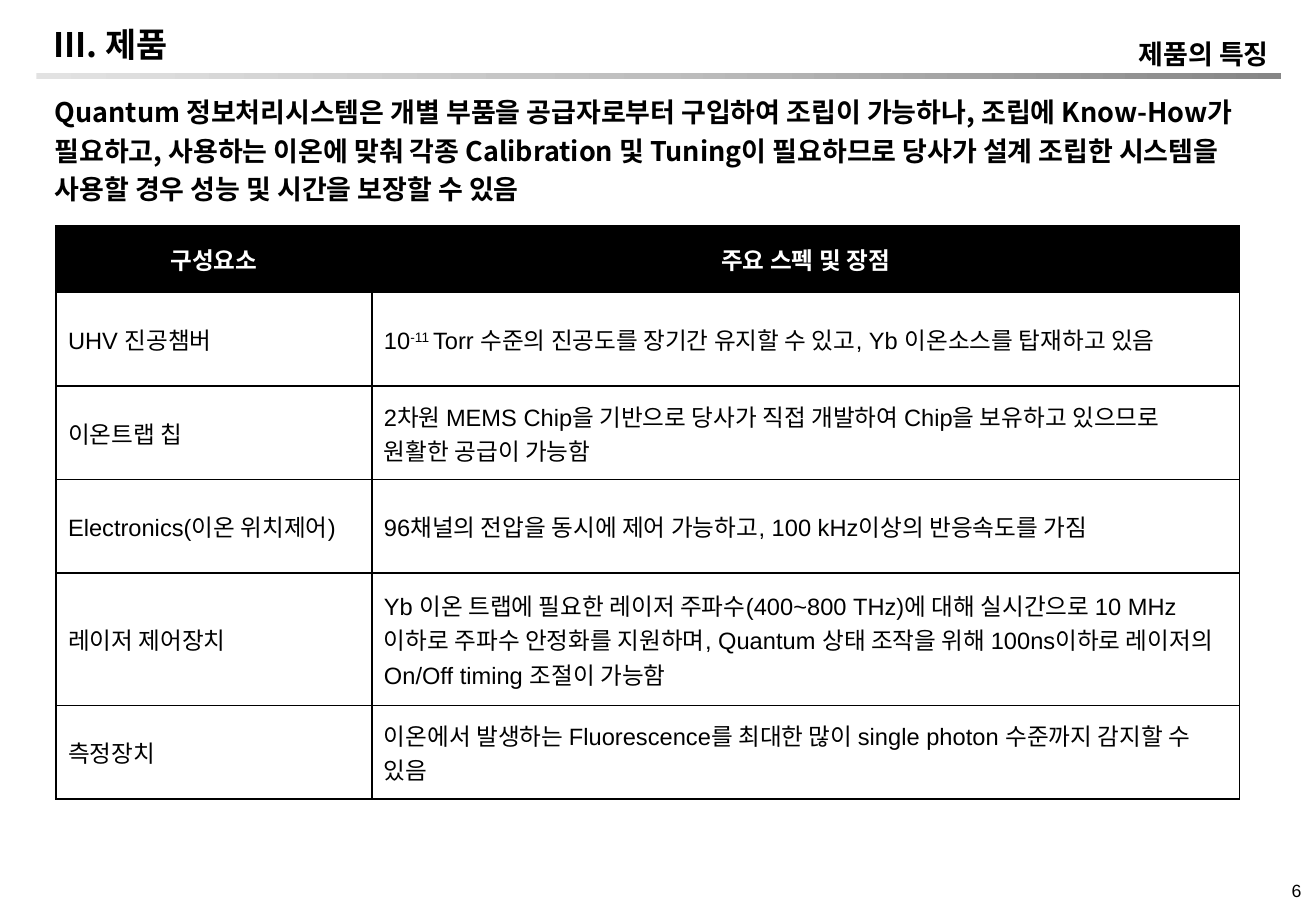
from copy import deepcopy
from dataclasses import dataclass, field
from typing import Any

from pptx import Presentation
from pptx.dml.color import RGBColor
from pptx.enum.shapes import MSO_SHAPE
from pptx.enum.text import MSO_ANCHOR, MSO_AUTO_SIZE, PP_ALIGN
from pptx.oxml import parse_xml
from pptx.oxml.ns import nsdecls, qn
from pptx.util import Pt

LEFT, MID, RIGHT = PP_ALIGN.LEFT, PP_ALIGN.CENTER, PP_ALIGN.RIGHT
TOP, CENTER, BOTTOM = MSO_ANCHOR.TOP, MSO_ANCHOR.MIDDLE, MSO_ANCHOR.BOTTOM
RECT, ROUND = MSO_SHAPE.RECTANGLE, MSO_SHAPE.ROUNDED_RECTANGLE
FIXED = MSO_AUTO_SIZE.NONE

SCALE = 9144
COLORS = {"black": "000000", "white": "FFFFFF",
          "light": "E2E2E2", "mid": "BEBEBE", "dark": "868686"}
HANGUL = "Noto Sans CJK KR"
LATIN = "Arial"


@dataclass
class Style:
    size: float
    bold: bool = False
    face: str = LATIN
    color: str = "black"
    align: Any = LEFT
    para: dict[str, Any] = field(default_factory=dict)


@dataclass
class Block:
    kind: str
    box: tuple[int, int, int, int]
    text: str
    style: Style
    anchor: Any = TOP
    inset: tuple[int, int, int, int] = (10, 5, 10, 5)


BLOCKS = [
    Block("title", (34, 17, 650, 39), "III. 제품", Style(20, True, HANGUL), CENTER),
    Block("text", (464, 23, 590, 37), "제품의 특징",
          Style(16, True, align=RIGHT, para={"line_spacing": 1.1})),
    Block("round", (30, 68, 1038, 107),
          "Quantum 정보처리시스템은 개별 부품을 공급자로부터 구입하여 조립이 가능하나, "
          "조립에 Know-How가 필요하고, 사용하는 이온에 맞춰 각종 Calibration 및 Tuning이 "
          "필요하므로 당사가 설계 조립한 시스템을 사용할 경우 성능 및 시간을 보장할 수 있음",
          Style(16, True, HANGUL, para={"line_spacing": Pt(23)}), inset=(10, 0, 8, 0)),
    Block("text", (1038, 707, 43, 40), "6", Style(10.5, align=RIGHT), BOTTOM),
]

HEAD = Style(14, True, color="white", align=MID)
BODY = Style(14)
COLS = (260, 714)
ROWS = [
    (55, "구성요소", "주요 스펙 및 장점"),
    (77, "UHV 진공챔버",
     "10^-11 ^Torr 수준의 진공도를 장기간 유지할 수 있고, Yb 이온소스를 탑재하고 있음"),
    (77, "이온트랩 칩",
     "2차원 MEMS Chip을 기반으로 당사가 직접 개발하여 Chip을 보유하고 있으므로 원활한 공급이 가능함"),
    (77, "Electronics(이온 위치제어)",
     "96채널의 전압을 동시에 제어 가능하고, 100 kHz이상의 반응속도를 가짐"),
    (109, "레이저 제어장치",
     "Yb 이온 트랩에 필요한 레이저 주파수(400~800 THz)에 대해 실시간으로 10 MHz 이하로 "
     "주파수 안정화를 지원하며, Quantum 상태 조작을 위해 100ns이하로 레이저의 On/Off timing 조절이 가능함"),
    (77, "측정장치",
     "이온에서 발생하는 Fluorescence를 최대한 많이 single photon 수준까지 감지할 수 있음"),
]


def px(num: int) -> int:
    return num * SCALE


def rgb(name: str) -> RGBColor:
    return RGBColor.from_string(COLORS[name])


def apply(target: Any, values: dict[str, Any]) -> None:
    for name, value in values.items():
        setattr(target, name, value)


def write(frame: Any, text: str, style: Style) -> None:
    para = frame.paragraphs[0]
    apply(para, {"alignment": style.align, **style.para})
    for index, part in enumerate(text.split("^")):
        run = para.add_run()
        run.text = part
        apply(run.font, {"size": Pt(style.size), "bold": style.bold, "name": style.face})
        run.font.color.rgb = rgb(style.color)
        props = run._r.get_or_add_rPr()
        props.append(parse_xml(f'<a:ea {nsdecls("a")} typeface="{HANGUL}"/>'))
        if index % 2:
            props.set("baseline", "30000")


def place(slide: Any, block: Block) -> None:
    box = [px(num) for num in block.box]
    if block.kind == "title":
        shape = slide.shapes.title
        apply(shape, dict(zip(("left", "top", "width", "height"), box)))
    elif block.kind == "round":
        shape = slide.shapes.add_shape(ROUND, *box)
        shape.shadow.inherit = False
        shape.fill.background()
        shape.line.fill.background()
    else:
        shape = slide.shapes.add_textbox(*box)
    frame = shape.text_frame
    sides = ("margin_left", "margin_top", "margin_right", "margin_bottom")
    apply(frame, {"word_wrap": True, "auto_size": FIXED, "vertical_anchor": block.anchor,
                  **dict(zip(sides, map(px, block.inset)))})
    write(frame, block.text, block.style)


def draw_bar(slide: Any) -> None:
    bar = slide.shapes.add_shape(RECT, px(30), px(60), px(1024), px(5))
    bar.shadow.inherit = False
    bar.line.fill.background()
    bar.fill.gradient()
    bar.fill.gradient_angle = 0
    stops = bar._element.spPr.find(".//" + qn("a:gsLst"))
    stops.insert(1, deepcopy(stops[0]))
    shades = (("light", 0), ("mid", 0.5), ("dark", 1))
    for stop, (name, spot) in zip(bar.fill.gradient_stops, shades):
        stop.color.rgb = rgb(name)
        stop.position = spot


def edge(cell: Any) -> None:
    props = cell._tc.get_or_add_tcPr()
    for index, side in enumerate(("lnL", "lnR", "lnT", "lnB")):
        props.insert(index, parse_xml(
            f'<a:{side} {nsdecls("a")} w="12700"><a:solidFill>'
            f'<a:srgbClr val="{COLORS["black"]}"/></a:solidFill></a:{side}>'))


def draw_table(slide: Any) -> None:
    high = sum(row[0] for row in ROWS)
    table = slide.shapes.add_table(len(ROWS), len(COLS), px(46), px(186),
                                   px(sum(COLS)), px(high)).table
    for col, wide in zip(table.columns, COLS):
        col.width = px(wide)
    for index, (tall, *texts) in enumerate(ROWS):
        table.rows[index].height = px(tall)
        for spot, text in enumerate(texts):
            cell = table.cell(index, spot)
            cell.vertical_anchor = CENTER
            cell.fill.solid()
            cell.fill.fore_color.rgb = rgb("white" if index else "black")
            edge(cell)
            write(cell.text_frame, text, BODY if index else HEAD)


def main() -> None:
    deck = Presentation()
    apply(deck, {"slide_width": px(1083), "slide_height": px(750)})
    slide = deck.slides.add_slide(deck.slide_layouts[5])
    draw_bar(slide)
    for block in BLOCKS:
        place(slide, block)
    draw_table(slide)
    deck.save("out.pptx")


if __name__ == "__main__":
    main()
